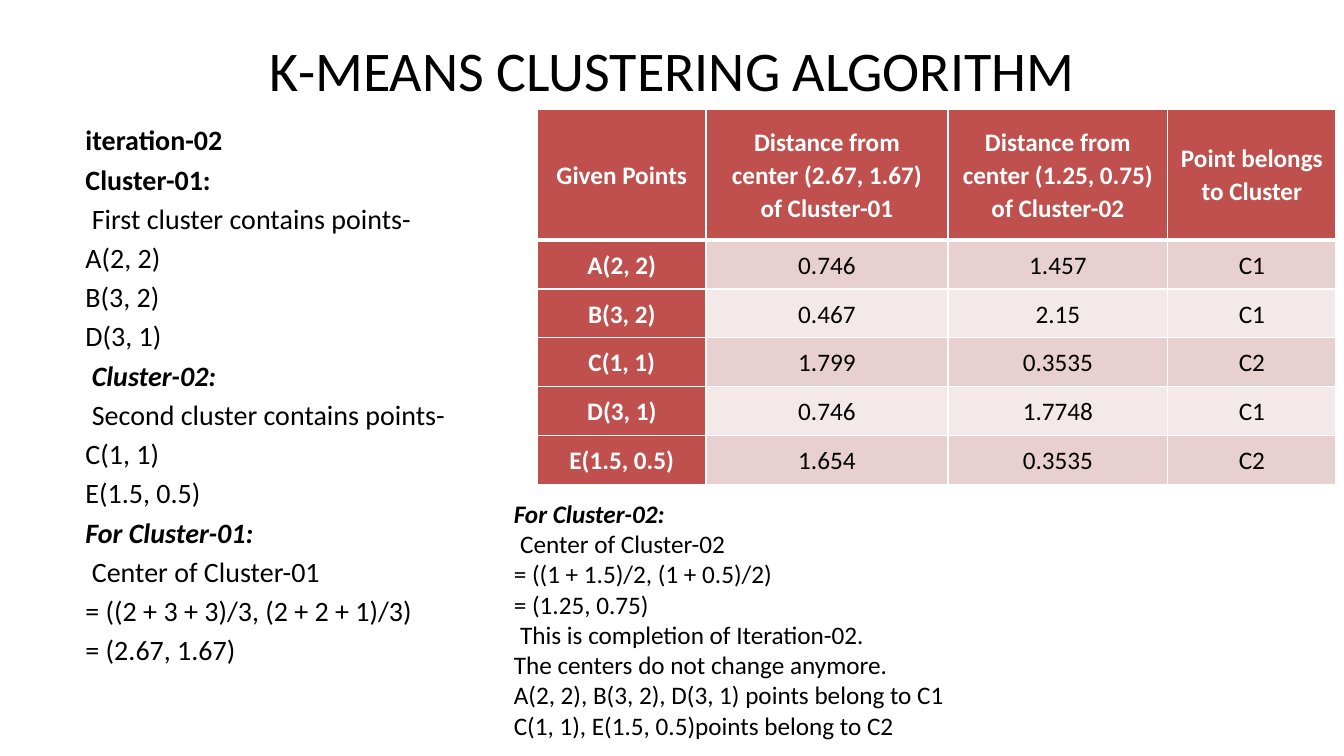
from dataclasses import dataclass

from lxml import etree
from pptx import Presentation
from pptx.dml.color import RGBColor
from pptx.enum.text import MSO_ANCHOR, MSO_AUTO_SIZE, PP_ALIGN
from pptx.oxml.ns import qn
from pptx.util import Cm, Pt

LEFT, CENTER = PP_ALIGN.LEFT, PP_ALIGN.CENTER
TOP, MIDDLE = MSO_ANCHOR.TOP, MSO_ANCHOR.MIDDLE
GROW, FIXED = MSO_AUTO_SIZE.SHAPE_TO_FIT_TEXT, MSO_AUTO_SIZE.NONE


@dataclass(frozen=True)
class Theme:
    font: str = "Calibri"
    ink: str = "000000"
    paper: str = "FFFFFF"
    red: str = "C0504D"
    bands: tuple[str, str] = ("E8D0D0", "F4E9E9")
    title: int = 40
    body: int = 20
    small: int = 18


@dataclass(frozen=True)
class Line:
    text: str
    bold: bool = False
    slant: bool = False
    inset: bool = False


THEME = Theme()

STEPS = [
    Line("iteration-02", bold=True),
    Line("Cluster-01:", bold=True),
    Line("First cluster contains points-", inset=True),
    Line("A(2, 2)"),
    Line("B(3, 2)"),
    Line("D(3, 1)"),
    Line("Cluster-02:", bold=True, slant=True, inset=True),
    Line("Second cluster contains points-", inset=True),
    Line("C(1, 1)"),
    Line("E(1.5, 0.5)"),
    Line("For Cluster-01:", bold=True, slant=True),
    Line("Center of Cluster-01", inset=True),
    Line("= ((2 + 3 + 3)/3, (2 + 2 + 1)/3)"),
    Line("= (2.67, 1.67)"),
]

RESULT = [
    Line("For Cluster-02:", bold=True, slant=True),
    Line("Center of Cluster-02", inset=True),
    Line("= ((1 + 1.5)/2, (1 + 0.5)/2)"),
    Line("= (1.25, 0.75)"),
    Line("This is completion of Iteration-02.", inset=True),
    Line("The centers do not change anymore."),
    Line("A(2, 2), B(3, 2), D(3, 1) points belong to C1"),
    Line("C(1, 1), E(1.5, 0.5)points belong to C2"),
]

ROWS = [
    ("Given Points",
     "Distance from\ncenter (2.67, 1.67)\nof Cluster-01",
     "Distance from\ncenter (1.25, 0.75)\nof Cluster-02",
     "Point belongs to Cluster"),
    ("A(2, 2)", "0.746", "1.457", "C1"),
    ("B(3, 2)", "0.467", "2.15", "C1"),
    ("C(1, 1)", "1.799", "0.3535", "C2"),
    ("D(3, 1)", "0.746", "1.7748", "C1"),
    ("E(1.5, 0.5)", "1.654", "0.3535", "C2"),
]
WIDTHS = (4.24, 6.1, 5.54, 4.24)
HEAD, ROW = 3.3, 1.07


def write(frame, lines: list[Line], *, size: int, color: str = THEME.ink,
          align=LEFT, gap: float = 0, pitch: float = 1) -> None:
    """Fill a text frame with one plain paragraph for each line."""
    frame.word_wrap = True
    for i, line in enumerate(lines):
        para = frame.paragraphs[0] if i == 0 else frame.add_paragraph()
        props = para._p.get_or_add_pPr()
        props.set("marL", str(Cm(0.16) if line.inset else 0))
        props.set("indent", "0")
        etree.SubElement(props, qn("a:buNone"))
        para.alignment = align
        para.line_spacing = pitch
        para.space_before = Pt(gap if i else 0)
        run = para.add_run()
        run.text = line.text
        font = run.font
        font.name, font.size = THEME.font, Pt(size)
        font.bold, font.italic = line.bold, line.slant
        font.color.rgb = RGBColor.from_string(color)


def place(shape, left: float, top: float, width: float, height: float) -> None:
    shape.left, shape.top = Cm(left), Cm(top)
    shape.width, shape.height = Cm(width), Cm(height)
    shape.text_frame.auto_size = FIXED
    shape.text_frame.vertical_anchor = TOP


def edge(cell, head: bool) -> None:
    """Rule the cell in white, with a thick line below the head row."""
    props = cell._tc.get_or_add_tcPr()
    for spot, side in enumerate(("lnL", "lnR", "lnT", "lnB")):
        wide = 3 if head and side == "lnB" else 1
        rule = etree.Element(qn(f"a:{side}"), w=str(Pt(wide)))
        fill = etree.SubElement(rule, qn("a:solidFill"))
        etree.SubElement(fill, qn("a:srgbClr"), val=THEME.paper)
        props.insert(spot, rule)


def draw_table(slide) -> None:
    table = slide.shapes.add_table(
        len(ROWS), len(WIDTHS), Cm(13.55), Cm(2.75),
        Cm(sum(WIDTHS)), Cm(HEAD + ROW * (len(ROWS) - 1))).table
    table.first_col = True
    for column, width in zip(table.columns, WIDTHS):
        column.width = Cm(width)
    for r, row in enumerate(ROWS):
        table.rows[r].height = Cm(ROW if r else HEAD)
        for c, text in enumerate(row):
            cell = table.cell(r, c)
            label = r == 0 or c == 0
            shade = THEME.red if label else THEME.bands[(r - 1) % 2]
            cell.fill.solid()
            cell.fill.fore_color.rgb = RGBColor.from_string(shade)
            cell.vertical_anchor = MIDDLE
            cell.margin_left = cell.margin_right = Cm(0.25)
            cell.margin_top = cell.margin_bottom = Cm(0.2)
            edge(cell, r == 0)
            write(cell.text_frame,
                  [Line(part, bold=label) for part in text.split("\n")],
                  size=THEME.small, align=CENTER, pitch=1.07,
                  color=THEME.paper if label else THEME.ink)


def main() -> None:
    deck = Presentation()
    deck.slide_width, deck.slide_height = Cm(33.87), Cm(19.05)
    slide = deck.slides.add_slide(deck.slide_layouts[1])
    title, body = slide.shapes.title, slide.placeholders[1]

    place(title, 1.7, 0.76, 30.48, 3.18)
    write(title.text_frame, [Line("K-MEANS CLUSTERING ALGORITHM")],
          size=THEME.title, align=CENTER)
    place(body, 1.9, 2.97, 29.63, 15.45)
    write(body.text_frame, STEPS, size=THEME.body, gap=4)

    draw_table(slide)

    note = slide.shapes.add_textbox(Cm(12.7), Cm(12.43), Cm(21.17), Cm(6.4))
    write(note.text_frame, RESULT, size=THEME.small)
    note.text_frame.auto_size = GROW
    deck.save("out.pptx")


if __name__ == "__main__":
    main()
